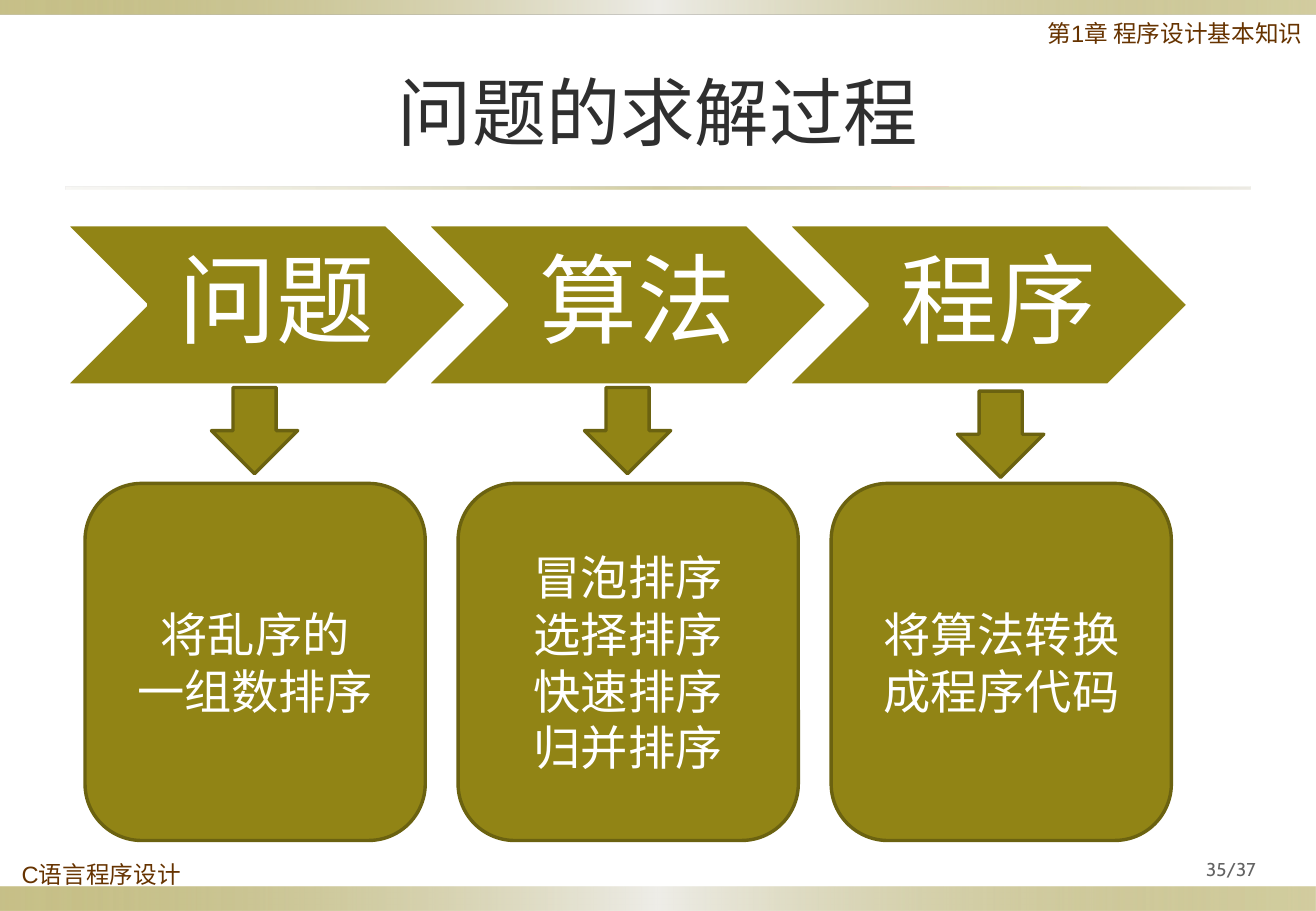
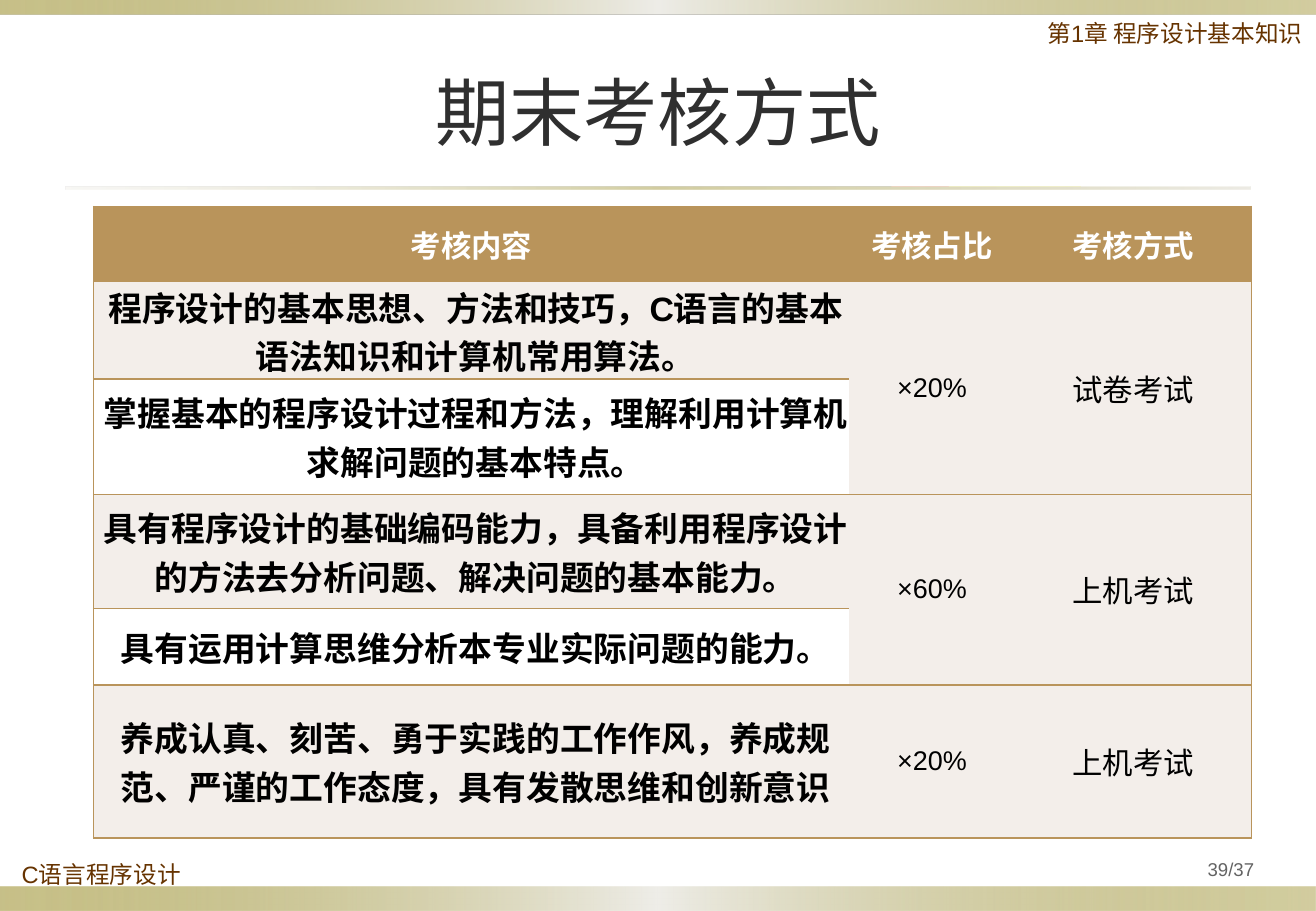
from lxml import etree
from pptx import Presentation
from pptx.dml.color import RGBColor
from pptx.enum.shapes import MSO_SHAPE
from pptx.enum.text import MSO_ANCHOR, PP_ALIGN
from pptx.oxml import parse_xml
from pptx.oxml.ns import nsdecls, qn
from pptx.util import Pt

EMU_PER_PX = 9144  # 100 px to the inch

LEFT, CENTER = PP_ALIGN.LEFT, PP_ALIGN.CENTER
TOP, MIDDLE = MSO_ANCHOR.TOP, MSO_ANCHOR.MIDDLE
RECTANGLE, CHEVRON = MSO_SHAPE.RECTANGLE, MSO_SHAPE.CHEVRON
DOWN_ARROW, ROUNDED = MSO_SHAPE.DOWN_ARROW, MSO_SHAPE.ROUNDED_RECTANGLE

OLIVE, DARK_OLIVE, SAND, PALE = "918415", "6B6210", "DCD9CC", "EEEDE8"
TAN, CREAM, WHITE, BLACK = "B9945B", "F3EEEA", "FFFFFF", "000000"
BROWN, TITLE_GRAY, PAGE_GRAY = "663300", "2F2F2F", "636363"
CJK_FONT, LATIN_FONT, THEME_FONT = "Noto Sans CJK SC", "Arial", "Cabin"

# Gradient stops: position, colour, opacity (all in percent)
BAND_STOPS = [(0, OLIVE, 50), (50, PALE, 100), (100, OLIVE, 40)]
RULE_STOPS = [(0, SAND, 20), (50, OLIVE, 40), (100, SAND, 50)]

# Heading, explanation lines, top of the arrow
STEPS = [
    ("问题", ["将乱序的", "一组数排序"], 319),
    ("算法", ["冒泡排序", "选择排序", "快速排序", "归并排序"], 319),
    ("程序", ["将算法转换成程序代码"], 322),
]

COLUMN_WIDTHS = [622, 136, 195]
ROW_HEIGHTS = [62, 80, 95, 94, 63, 126]
ASSESSMENT = [
    ("考核内容", "考核占比", "考核方式"),
    ("程序设计的基本思想、方法和技巧，C语言的基本语法知识和计算机常用算法。", "×20%", "试卷考试"),
    ("掌握基本的程序设计过程和方法，理解利用计算机求解问题的基本特点。", "", ""),
    ("具有程序设计的基础编码能力，具备利用程序设计的方法去分析问题、解决问题的基本能力。", "×60%", "上机考试"),
    ("具有运用计算思维分析本专业实际问题的能力。", "", ""),
    ("养成认真、刻苦、勇于实践的工作作风，养成规范、严谨的工作态度，具有发散思维和创新意识", "×20%", "上机考试"),
]
COLUMN_SIZES = [20, 16, 18]
CONTENT_INDENT = 7
COLUMN_BORDERS = ["LTB", "TB", "TRB"]


def px(length):
    return length * EMU_PER_PX


def rgb(color):
    return RGBColor.from_string(color)


def box(left, top, width, height):
    return [px(length) for length in (left, top, width, height)]


# Text
def format_paragraph(paragraph, size, color, font, bold=False, align=CENTER, spacing=None):
    paragraph.alignment = align
    paragraph.line_spacing = spacing
    paragraph.font.size = Pt(size)
    paragraph.font.bold = bold
    paragraph.font.color.rgb = rgb(color)
    paragraph.font.name = font
    defaults = paragraph._p.get_or_add_pPr().find(qn("a:defRPr"))
    etree.SubElement(defaults, qn("a:ea")).set("typeface", CJK_FONT)


def write_text(frame, lines, size, color, font, anchor=MIDDLE, margins=(10, 5, 10, 5), **style):
    frame.word_wrap = True
    frame.vertical_anchor = anchor
    (frame.margin_left, frame.margin_top,
     frame.margin_right, frame.margin_bottom) = [px(margin) for margin in margins]
    frame.text = "\n".join(lines)
    for paragraph in frame.paragraphs:
        format_paragraph(paragraph, size, color, font, **style)


def add_label(slide, place, text, size, color, font, **style):
    label = slide.shapes.add_textbox(*box(*place))
    write_text(label.text_frame, [text], size, color, font, **style)
    return label


# Shapes
def add_solid(slide, kind, place, line_color):
    shape = slide.shapes.add_shape(kind, *box(*place))
    shape.shadow.inherit = False
    shape.fill.solid()
    shape.fill.fore_color.rgb = rgb(OLIVE)
    shape.line.color.rgb = rgb(line_color)
    shape.line.width = Pt(2)
    return shape


def add_gradient_bar(slide, place, stops):
    bar = slide.shapes.add_shape(RECTANGLE, *box(*place))
    bar.shadow.inherit = False
    bar.line.fill.background()
    bar.fill.background()
    stops_xml = "".join(
        f'<a:gs pos="{position * 1000}"><a:srgbClr val="{color}">'
        f'<a:alpha val="{opacity * 1000}"/></a:srgbClr></a:gs>'
        for position, color, opacity in stops)
    gradient = parse_xml(f'<a:gradFill {nsdecls("a")} rotWithShape="1">'
                         f'<a:gsLst>{stops_xml}</a:gsLst><a:lin ang="0" scaled="0"/></a:gradFill>')
    properties = bar.element.spPr
    properties.replace(properties.find(qn("a:noFill")), gradient)
    return bar


# Shared layout: bands, rule, chapter and course labels
def decorate_layout(layout, slide):
    for placeholder in list(layout.placeholders):
        if placeholder.placeholder_format.idx == 0:
            (placeholder.left, placeholder.top,
             placeholder.width, placeholder.height) = box(54, 29, 975, 125)
        else:
            placeholder.element.getparent().remove(placeholder.element)
    label_style = dict(size=14, color=BROWN, font=LATIN_FONT, anchor=TOP, spacing=0.9)
    decorations = [
        add_gradient_bar(slide, (0, 730, 1083, 20), BAND_STOPS),
        add_gradient_bar(slide, (0, 0, 1083, 12), BAND_STOPS),
        add_gradient_bar(slide, (54, 154, 975, 2), RULE_STOPS),
        add_label(slide, (849, 13, 236, 63), "第1章 程序设计基本知识", **label_style),
        add_label(slide, (8, 706, 235, 44), "C语言程序设计", align=LEFT, **label_style),
    ]
    for shape in decorations:
        layout.shapes.element.append(shape.element)


def add_slide(presentation, layout, title, page, page_font):
    slide = presentation.slides.add_slide(layout)
    write_text(slide.shapes.title.text_frame, [title], 44, TITLE_GRAY, CJK_FONT)
    add_label(slide, (959, 701, 108, 31), page, 11, PAGE_GRAY, page_font,
              margins=(5, 5, 5, 5), spacing=0.9)
    return slide


# Process: chevron, arrow and explanation for each step
def add_process(slide):
    box_width, arrow_size = 280, 71
    for index, (heading, lines, arrow_top) in enumerate(STEPS):
        chevron = add_solid(slide, CHEVRON, (54 + 297 * index, 185, 330, 132), WHITE)
        write_text(chevron.text_frame, [heading], 58, WHITE, THEME_FONT,
                   margins=(25, 8, 8, 8), spacing=0.9)
        box_left = 70 + 307 * index
        arrow_left = box_left + (box_width - arrow_size) // 2
        add_solid(slide, DOWN_ARROW, (arrow_left, arrow_top, arrow_size, arrow_size), DARK_OLIVE)
        explanation = add_solid(slide, ROUNDED, (box_left, 398, box_width, 294), DARK_OLIVE)
        write_text(explanation.text_frame, lines, 28, WHITE, THEME_FONT)


# Assessment table
def set_borders(cell, sides):
    properties = cell._tc.get_or_add_tcPr()
    for position, side in enumerate("LRTB"):
        fill = (f'<a:solidFill><a:srgbClr val="{TAN}"/></a:solidFill>'
                if side in sides else "<a:noFill/>")
        border = parse_xml(f'<a:ln{side} {nsdecls("a")} w="{Pt(1)}">{fill}</a:ln{side}>')
        properties.insert(position, border)


def format_cell(cell, text, row, column):
    header = row == 0
    cell.fill.solid()
    striped = column > 0 or row % 2 == 1
    cell.fill.fore_color.rgb = rgb(TAN if header else CREAM if striped else WHITE)
    set_borders(cell, COLUMN_BORDERS[column])
    cell.vertical_anchor = MIDDLE
    cell.margin_left = cell.margin_top = cell.margin_right = cell.margin_bottom = 0
    if text:
        cell.text = text
        paragraph = cell.text_frame.paragraphs[0]
        properties = paragraph._p.get_or_add_pPr()
        properties.set("hangingPunct", "0")
        if column == 0 and not header:
            properties.set("marL", str(px(CONTENT_INDENT)))
        format_paragraph(paragraph, 18 if header else COLUMN_SIZES[column],
                         WHITE if header else BLACK, LATIN_FONT, bold=header or column == 0)


def add_assessment_table(slide):
    place = box(77, 170, sum(COLUMN_WIDTHS), sum(ROW_HEIGHTS))
    table = slide.shapes.add_table(len(ROW_HEIGHTS), len(COLUMN_WIDTHS), *place).table
    table.first_row = table.horz_banding = False
    for column, width in zip(table.columns, COLUMN_WIDTHS):
        column.width = px(width)
    for row, height in zip(table.rows, ROW_HEIGHTS):
        row.height = px(height)
    for row, texts in enumerate(ASSESSMENT):
        for column, text in enumerate(texts):
            format_cell(table.cell(row, column), text, row, column)
    for row in (1, 3):
        for column in (1, 2):
            table.cell(row, column).merge(table.cell(row + 1, column))


def main():
    presentation = Presentation()
    presentation.slide_width, presentation.slide_height = px(1083), px(750)
    layout = presentation.slide_layouts.get_by_name("Title Only")

    process_slide = add_slide(presentation, layout, "问题的求解过程", "35/37", THEME_FONT)
    decorate_layout(layout, process_slide)
    add_process(process_slide)

    assessment_slide = add_slide(presentation, layout, "期末考核方式", "39/37", LATIN_FONT)
    add_assessment_table(assessment_slide)

    presentation.save("out.pptx")


if __name__ == "__main__":
    main()
